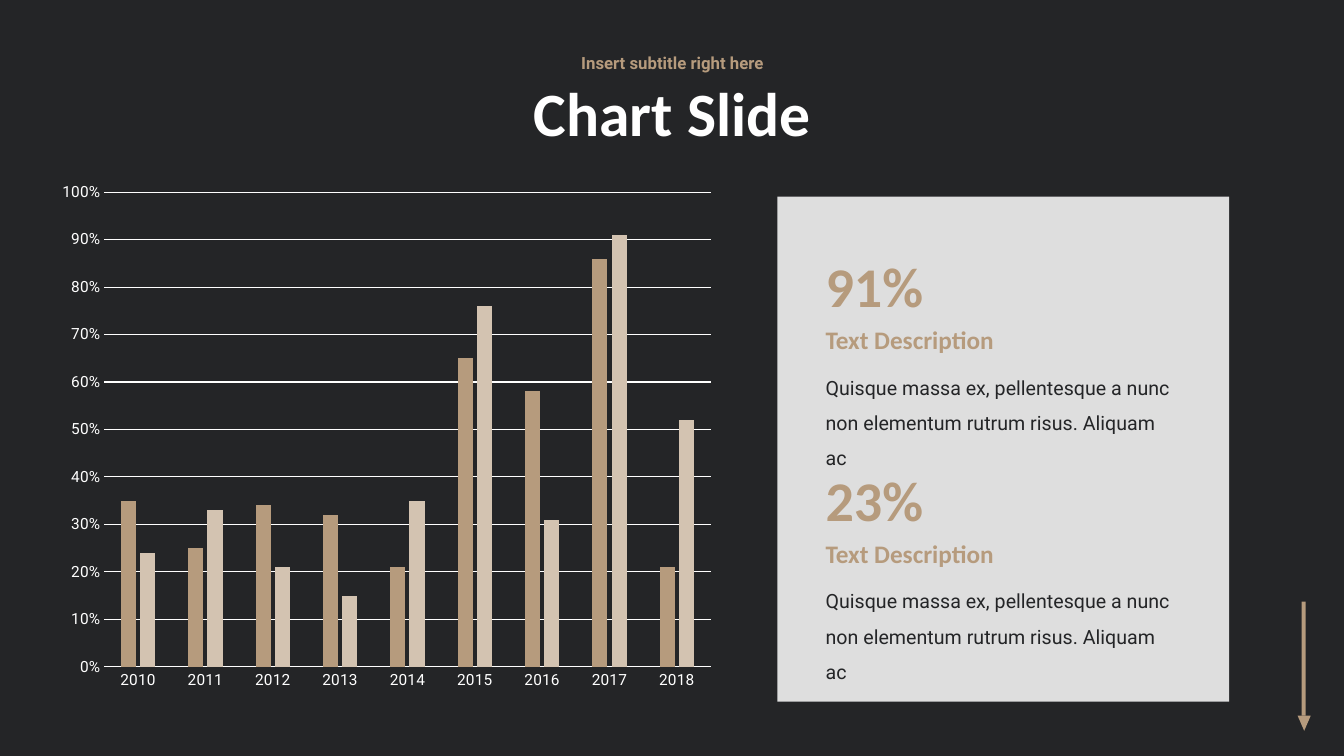
from lxml import etree
from pptx import Presentation
from pptx.chart.data import CategoryChartData
from pptx.dml.color import RGBColor
from pptx.enum.chart import XL_CHART_TYPE, XL_TICK_MARK
from pptx.enum.shapes import MSO_SHAPE
from pptx.enum.text import MSO_ANCHOR, MSO_AUTO_SIZE, PP_ALIGN
from pptx.oxml import parse_xml
from pptx.oxml.ns import nsdecls, qn
from pptx.util import Pt

COLUMNS = XL_CHART_TYPE.COLUMN_CLUSTERED
NO_TICK = XL_TICK_MARK.NONE
RECTANGLE, TRIANGLE = MSO_SHAPE.RECTANGLE, MSO_SHAPE.ISOSCELES_TRIANGLE
TOP, MIDDLE = MSO_ANCHOR.TOP, MSO_ANCHOR.MIDDLE
GROW = MSO_AUTO_SIZE.SHAPE_TO_FIT_TEXT
LEFT, CENTER = PP_ALIGN.LEFT, PP_ALIGN.CENTER

EMU_PER_PX = 9144  # 100 px to the inch
DARK, WHITE, TAN, SAND = "242527", "FFFFFF", "B69B7D", "D3C3B1"
HEADING, BODY = "Calibri", "Roboto"

YEARS = [str(year) for year in range(2010, 2019)]
SERIES = [
    ("Series 1", TAN, [0.35, 0.25, 0.34, 0.32, 0.21, 0.65, 0.58, 0.86, 0.21]),
    ("Series 2", SAND, [0.24, 0.33, 0.21, 0.15, 0.35, 0.76, 0.31, 0.91, 0.52]),
]
DESCRIPTION = ("Quisque massa ex, pellentesque a nunc non elementum "
               "rutrum risus. Aliquam ac")
FIGURES = ["91%", "23%"]


def px(*lengths):
    return [length * EMU_PER_PX for length in lengths]


def color(hex_string):
    return RGBColor.from_string(hex_string)


def set_font(font, name, size, hex_string, bold=False):
    font.name, font.size, font.bold = name, Pt(size), bold
    font.color.rgb = color(hex_string)


def add_block(slide, kind, box, fill):
    block = slide.shapes.add_shape(kind, *px(*box))
    block.shadow.inherit = False
    block.fill.solid()
    block.fill.fore_color.rgb = color(fill)
    block.line.fill.background()
    return block


def add_text(slide, box, text, name, size, hex_string, bold=False,
             align=LEFT, anchor=TOP, spacing=1.0):
    label = slide.shapes.add_textbox(*px(*box))
    frame = label.text_frame
    frame.word_wrap = True
    frame.vertical_anchor = anchor
    if anchor == TOP:
        frame.auto_size = GROW
    paragraph = frame.paragraphs[0]
    paragraph.text = text
    paragraph.alignment = align
    paragraph.line_spacing = spacing
    set_font(paragraph.font, name, size, hex_string, bold)


def add_header(slide, left, top, width):
    add_text(slide, (left, top + 19, width, 103), "Chart Slide",
             HEADING, 44, WHITE, True, CENTER, MIDDLE, 0.9)
    add_text(slide, (left, top, width, 38), "Insert subtitle right here",
             BODY, 12, TAN, True, CENTER, MIDDLE, 0.9)


def set_plot_area(chart, x, y, w, h):
    plot_area = chart._chartSpace.chart.plotArea
    for old in plot_area.findall(qn("c:layout")):
        plot_area.remove(old)
    layout = parse_xml(f"<c:layout {nsdecls('c')}><c:manualLayout/></c:layout>")
    settings = {"layoutTarget": "inner", "xMode": "edge", "yMode": "edge",
                "x": x, "y": y, "w": w, "h": h}
    for tag, value in settings.items():
        etree.SubElement(layout[0], qn(f"c:{tag}")).set("val", str(value))
    plot_area.insert(0, layout)


def add_year_chart(slide, left, top, width, height):
    data = CategoryChartData(number_format="0%")
    data.categories = YEARS
    for name, _, values in SERIES:
        data.add_series(name, values)
    chart = slide.shapes.add_chart(
        COLUMNS, *px(left, top, width, height), data).chart
    chart.has_legend = chart.has_title = False
    set_font(chart.font, BODY, 11, WHITE)
    set_plot_area(chart, 0.088, 0.018, 0.888, 0.877)

    # Columns
    plot = chart.plots[0]
    plot.gap_width, plot.overlap = 219, -27
    plot.vary_by_categories = False
    for series, (_, fill, _) in zip(plot.series, SERIES):
        series.format.fill.solid()
        series.format.fill.fore_color.rgb = color(fill)

    # Axes and gridlines
    years, shares = chart.category_axis, chart.value_axis
    for axis in (years, shares):
        axis.major_tick_mark = axis.minor_tick_mark = NO_TICK
        set_font(axis.tick_labels.font, BODY, 11, WHITE)
    shares.minimum_scale, shares.maximum_scale, shares.major_unit = 0, 1, 0.1
    shares.tick_labels.number_format = "0%"
    shares.tick_labels.number_format_is_linked = False
    shares.format.line.fill.background()
    for line in (years.format.line, shares.major_gridlines.format.line):
        line.color.rgb = color(WHITE)
        line.width = Pt(0.75)


def add_figure(slide, left, top, figure):
    add_text(slide, (left, top, 215, 77), figure, HEADING, 40, TAN, True)
    add_text(slide, (left, top + 111, 372, 77), DESCRIPTION,
             BODY, 14, DARK, spacing=1.5)
    add_text(slide, (left, top + 72, 292, 40), "Text Description",
             HEADING, 18, TAN, True)


def add_card(slide, left, top, width, height):
    card = add_block(slide, RECTANGLE, (left, top, width, height), WHITE)
    tint = card.fill._xPr.find(".//" + qn("a:srgbClr"))
    etree.SubElement(tint, qn("a:alpha")).set("val", "85000")
    for row, figure in enumerate(FIGURES):
        add_figure(slide, left + 38, top + 50 + row * 212, figure)


def add_down_arrow(slide, left, top, width, height):
    stem, head = 4, 15
    add_block(slide, RECTANGLE,
              (left + (width - stem) // 2, top, stem, height - head), TAN)
    tip = add_block(slide, TRIANGLE,
                    (left, top + height - head, width, head), TAN)
    tip.rotation = 180


def main():
    deck = Presentation()
    deck.slide_width, deck.slide_height = px(1333, 750)
    slide = deck.slides.add_slide(deck.slide_layouts[6])
    slide.background.fill.solid()
    slide.background.fill.fore_color.rgb = color(DARK)
    add_down_arrow(slide, 1287, 597, 13, 128)
    add_card(slide, 771, 195, 448, 501)
    add_header(slide, 292, 45, 750)
    add_year_chart(slide, 44, 181, 677, 537)
    deck.save("out.pptx")


if __name__ == "__main__":
    main()
